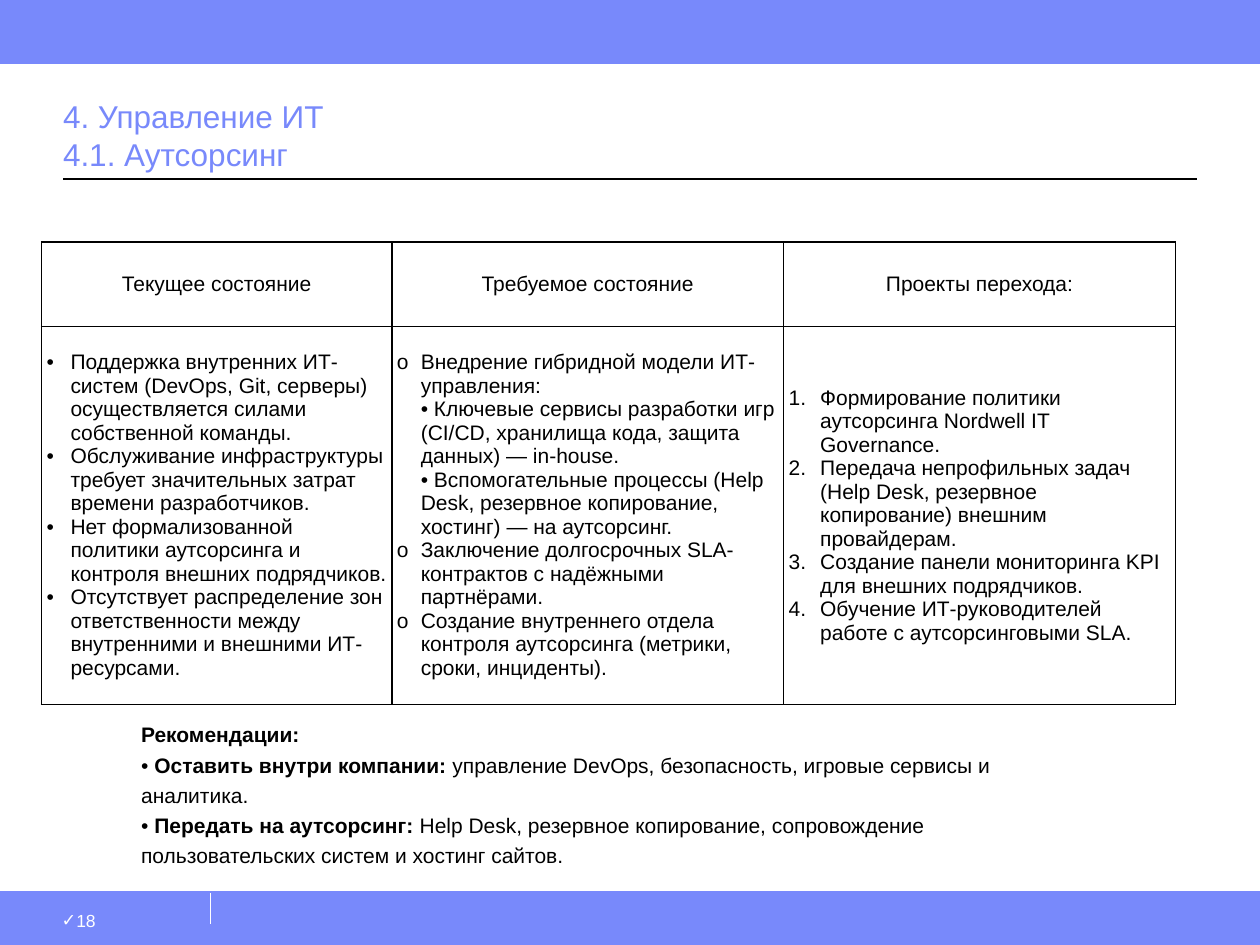
from dataclasses import dataclass

from lxml.etree import SubElement
from pptx import Presentation
from pptx.dml.color import RGBColor
from pptx.enum.shapes import MSO_CONNECTOR, MSO_SHAPE
from pptx.enum.text import MSO_ANCHOR, MSO_AUTO_SIZE, PP_ALIGN
from pptx.oxml.ns import qn
from pptx.util import Inches, Pt

BLUE, BLACK, WHITE = "7889FB", "000000", "FFFFFF"


@dataclass
class Rule:
    start: tuple[float, float]
    end: tuple[float, float]
    color: str
    width: float


@dataclass
class Column:
    heading: str
    width: float
    bullet: str  # a character, or "1." for automatic numbers
    indent: float
    items: list[str]


RULES = [
    Rule((1.67, 7.33), (1.67, 7.08), WHITE, 0.75),
    Rule((0, 0.42), (10, 0.42), BLUE, 0.5),
    Rule((0, 7.08), (10, 7.08), BLUE, 0.5),
    Rule((0.5, 1.42), (9.5, 1.42), BLACK, 0.75),
]

COLUMNS = [
    Column("Текущее состояние", 2.78, "•", 0.19, [
        "Поддержка внутренних ИТ-систем (DevOps, Git, серверы) осуществляется силами собственной команды.",
        "Обслуживание инфраструктуры требует значительных затрат времени разработчиков.",
        "Нет формализованной политики аутсорсинга и контроля внешних подрядчиков.",
        "Отсутствует распределение зон ответственности между внутренними и внешними ИТ-ресурсами.",
    ]),
    Column("Требуемое состояние", 3.11, "o", 0.19, [
        "Внедрение гибридной модели ИТ-управления:\n"
        "• Ключевые сервисы разработки игр (CI/CD, хранилища кода, защита данных) — in-house.\n"
        "• Вспомогательные процессы (Help Desk, резервное копирование, хостинг) — на аутсорсинг.",
        "Заключение долгосрочных SLA-контрактов с надёжными партнёрами.",
        "Создание внутреннего отдела контроля аутсорсинга (метрики, сроки, инциденты).",
    ]),
    Column("Проекты перехода:", 3.11, "1.", 0.25, [
        "Формирование политики аутсорсинга Nordwell IT Governance.",
        "Передача непрофильных задач (Help Desk, резервное копирование) внешним провайдерам.",
        "Создание панели мониторинга KPI для внешних подрядчиков.",
        "Обучение ИТ-руководителей работе с аутсорсинговыми SLA.",
    ]),
]

RECOMMENDATIONS = [
    ("Рекомендации:\n", True),
    ("• ", False),
    ("Оставить внутри компании:", True),
    (" управление DevOps, безопасность, игровые сервисы и аналитика.\n• ", False),
    ("Передать на аутсорсинг:", True),
    (" Help Desk, резервное копирование, сопровождение пользовательских систем и хостинг сайтов.", False),
]


def rgb(color: str) -> RGBColor:
    return RGBColor.from_string(color)


def add_text(paragraph, text: str, size: float = 12, color: str = BLACK, bold: bool = False) -> None:
    """Add runs to a paragraph, with a line break at each newline."""
    for index, part in enumerate(text.split("\n")):
        if index:
            paragraph.add_line_break()
        if part:
            run = paragraph.add_run()
            run.text = part
            run.font.name, run.font.size, run.font.bold = "Arial", Pt(size), bold
            run.font.color.rgb = rgb(color)


def add_bullet(paragraph, bullet: str, indent: float = 0) -> None:
    properties = paragraph._p.get_or_add_pPr()
    properties.set("marL", str(Inches(indent)))
    properties.set("indent", str(-Inches(indent)))
    SubElement(properties, qn("a:buFont"), typeface="Arial")
    if bullet == "1.":
        SubElement(properties, qn("a:buAutoNum"), type="arabicPeriod")
    else:
        SubElement(properties, qn("a:buChar"), char=bullet)


def set_margins(frame, left: float, top: float, right: float, bottom: float) -> None:
    frame.word_wrap = True
    frame.margin_left, frame.margin_top = Inches(left), Inches(top)
    frame.margin_right, frame.margin_bottom = Inches(right), Inches(bottom)


def add_band(slide, top: float, height: float) -> None:
    band = slide.shapes.add_shape(MSO_SHAPE.RECTANGLE, 0, Inches(top), Inches(10), Inches(height))
    band.shadow.inherit = False
    band.fill.solid()
    band.fill.fore_color.rgb = rgb(BLUE)
    band.line.color.rgb = rgb(BLUE)
    band.line.width = Pt(0.75)


def add_rule(slide, rule: Rule) -> None:
    ends = [Inches(value) for value in rule.start + rule.end]
    connector = slide.shapes.add_connector(MSO_CONNECTOR.STRAIGHT, *ends)
    connector.line.color.rgb = rgb(rule.color)
    connector.line.width = Pt(rule.width)
    SubElement(connector._element.spPr, qn("a:effectLst"))


def add_text_box(slide, left: float, top: float, width: float, height: float):
    box = slide.shapes.add_textbox(Inches(left), Inches(top), Inches(width), Inches(height))
    return box.text_frame


def format_cell(cell) -> None:
    cell.vertical_anchor = MSO_ANCHOR.MIDDLE
    cell.margin_left = cell.margin_right = Inches(0.04)
    cell.margin_top = cell.margin_bottom = 0
    properties = cell._tc.get_or_add_tcPr()
    for side in ("lnL", "lnR", "lnT", "lnB"):
        border = SubElement(properties, qn(f"a:{side}"), w=str(Pt(1)))
        fill = SubElement(border, qn("a:solidFill"))
        SubElement(fill, qn("a:srgbClr"), val=BLACK)
    cell.fill.background()


def add_state_table(slide) -> None:
    frame = slide.shapes.add_table(2, len(COLUMNS), Inches(0.33), Inches(1.92), Inches(9), Inches(3.67))
    table = frame.table
    table.first_row = table.horz_banding = False
    table.rows[0].height, table.rows[1].height = Inches(0.67), Inches(3)
    for index, column in enumerate(COLUMNS):
        table.columns[index].width = Inches(column.width)
        heading, body = table.cell(0, index), table.cell(1, index)
        format_cell(heading)
        format_cell(body)
        paragraph = heading.text_frame.paragraphs[0]
        paragraph.alignment = PP_ALIGN.CENTER
        add_text(paragraph, column.heading)
        for number, item in enumerate(column.items):
            paragraph = body.text_frame.add_paragraph() if number else body.text_frame.paragraphs[0]
            add_bullet(paragraph, column.bullet, column.indent)
            add_text(paragraph, item)


def add_title(slide) -> None:
    title = slide.shapes.title
    title.left, title.top, title.width, title.height = Inches(0.5), Inches(0.5), Inches(9), Inches(0.92)
    frame = title.text_frame
    set_margins(frame, 0, 0.05, 0, 0.05)
    frame.auto_size = MSO_AUTO_SIZE.NONE
    frame.vertical_anchor = MSO_ANCHOR.BOTTOM
    for paragraph, text in (
        (frame.paragraphs[0], "4. Управление ИТ"),
        (frame.add_paragraph(), "4.1. Аутсорсинг"),
    ):
        paragraph.alignment = PP_ALIGN.LEFT
        add_text(paragraph, text, 18, BLUE)


def main() -> None:
    presentation = Presentation()
    presentation.slide_width, presentation.slide_height = Inches(10), Inches(7.5)
    slide = presentation.slides.add_slide(presentation.slide_layouts[5])

    # Header and footer bands with their lines
    add_band(slide, 7.08, 0.42)
    add_band(slide, 0, 0.5)
    for rule in RULES:
        add_rule(slide, rule)

    # Page number
    frame = add_text_box(slide, 0.33, 7.15, 1.33, 0.35)
    set_margins(frame, 0.16, 0.07, 0.1, 0.05)
    add_bullet(frame.paragraphs[0], "✓")
    add_text(frame.paragraphs[0], "18", 10, WHITE)

    # Title and table
    add_title(slide)
    add_state_table(slide)

    # Recommendations
    frame = add_text_box(slide, 1.08, 5.65, 7.25, 1.5)
    set_margins(frame, 0.04, 0.04, 0.04, 0.04)
    paragraph = frame.paragraphs[0]
    paragraph.line_spacing = 1.2
    for text, bold in RECOMMENDATIONS:
        add_text(paragraph, text, bold=bold)

    presentation.save("out.pptx")


if __name__ == "__main__":
    main()
